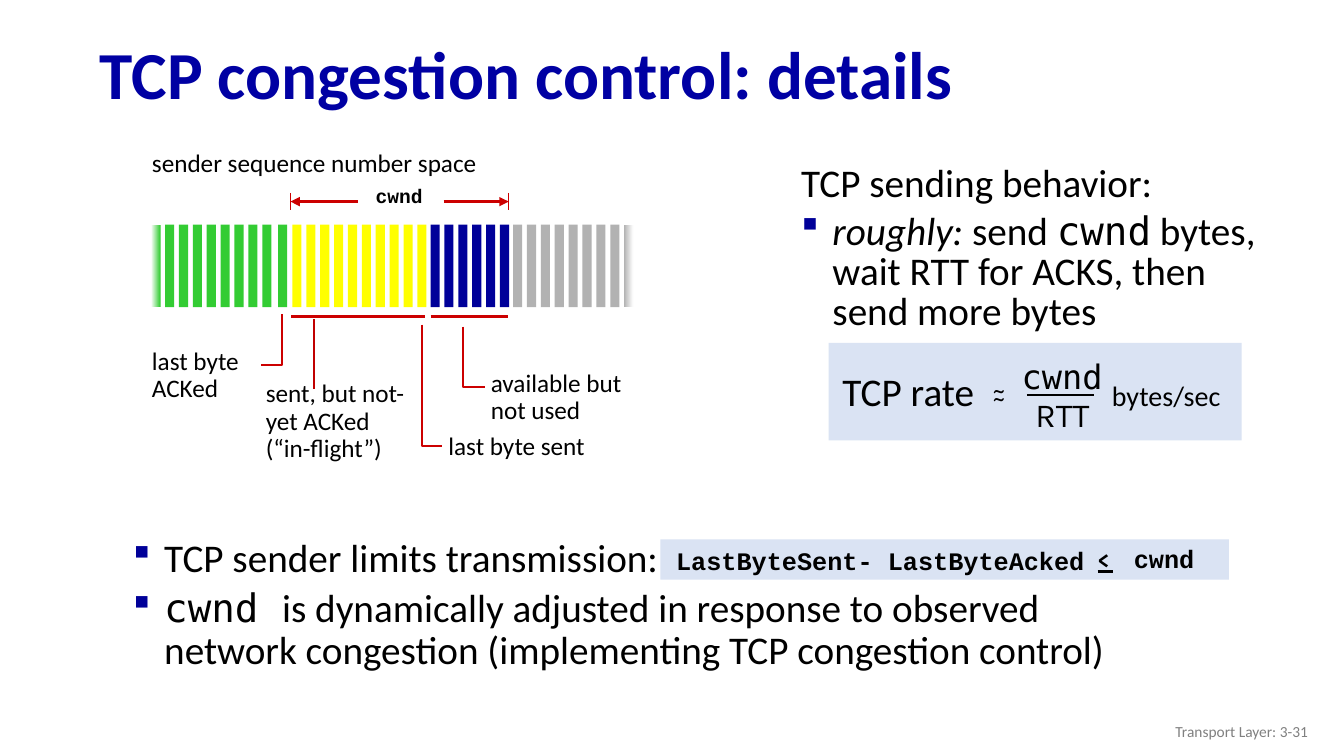
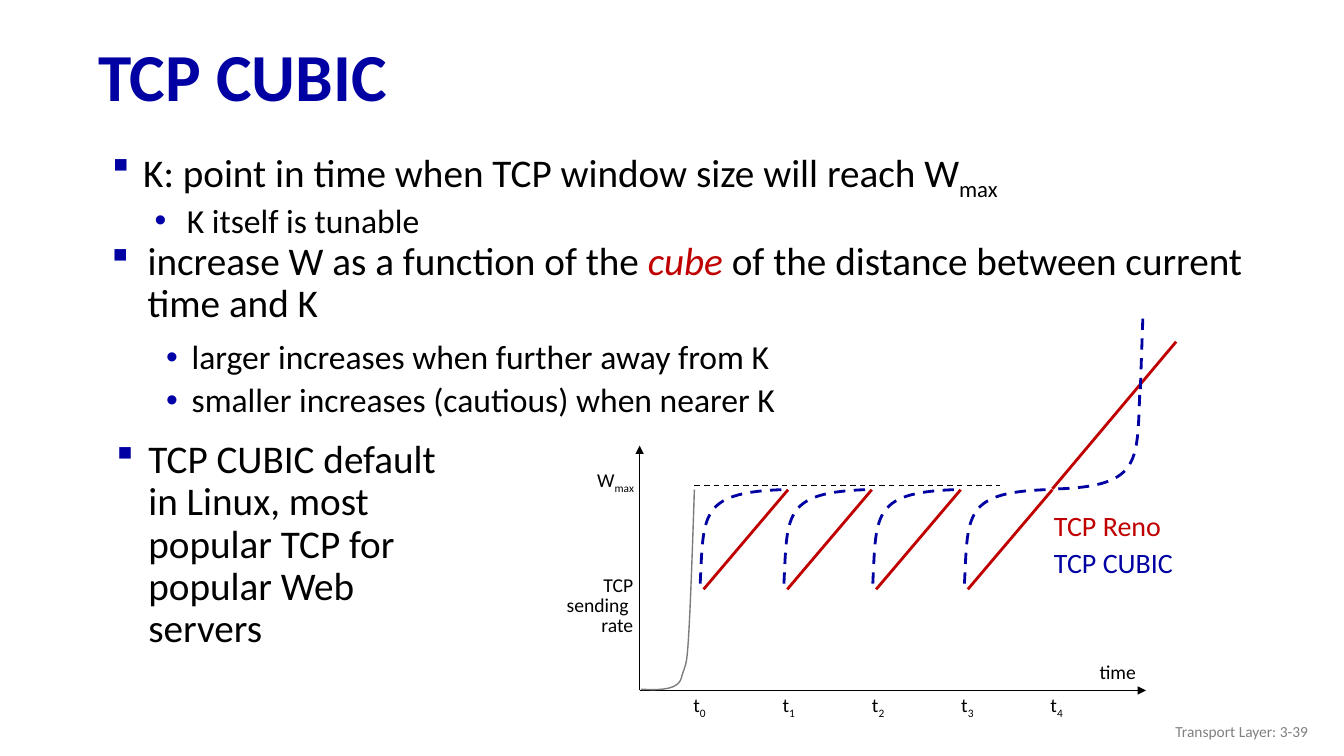
from dataclasses import dataclass
from lxml.etree import SubElement
from pptx import Presentation
from pptx.dml.color import RGBColor
from pptx.enum.dml import MSO_LINE
from pptx.enum.shapes import MSO_CONNECTOR, MSO_SHAPE
from pptx.enum.text import MSO_ANCHOR, MSO_AUTO_SIZE, PP_ALIGN
from pptx.oxml.ns import qn
from pptx.util import Cm, Pt

BLACK, WHITE, GRAY = "000000", "FFFFFF", "808080"
NAVY, BLUE, SUB_BLUE = "000099", "0000A3", "0000A8"
RED, DARK_RED, PALE = "CC0000", "C00000", "DAE3F3"
BODY, CODE, MONO, SYMBOL = "Calibri", "Courier New", "DejaVu Sans Mono", "Karla"
SQUARE, DOT = ("Wingdings", "§"), ("Arial", "•")
LEFT, CENTER, RIGHT = PP_ALIGN.LEFT, PP_ALIGN.CENTER, PP_ALIGN.RIGHT


def rgb(color):
    return RGBColor.from_string(color)


@dataclass
class Item:
    spans: list
    bullet: tuple = ()
    color: str = NAVY
    margin: float = 0.79
    hang: float = 0.79
    size: float = 28
    before: float = 0


class Lecture:
    def __init__(self):
        self.deck = Presentation()
        self.deck.slide_width, self.deck.slide_height = Cm(33.87), Cm(19.05)
        self.page = None

    def start(self, title, left, top, number):
        self.page = self.deck.slides.add_slide(self.deck.slide_layouts[5])
        holder = self.page.shapes.title
        holder.left, holder.top, holder.width, holder.height = (
            Cm(left), Cm(top), Cm(31.65), Cm(2.49))
        frame = holder.text_frame
        frame.text = title
        frame.auto_size = MSO_AUTO_SIZE.NONE
        frame.vertical_anchor = MSO_ANCHOR.MIDDLE
        para = frame.paragraphs[0]
        para.alignment, para.line_spacing = LEFT, 0.9
        self.format(para.runs[0], size=48, color=BLUE, bold=True)
        self.text(25.6, 17.91, 7.62, 1.02, f"Transport Layer: {number}", size=11,
                  color=GRAY, align=RIGHT, spacing=1, anchor=MSO_ANCHOR.MIDDLE)

    def format(self, span, size, color=BLACK, font=BODY, bold=False, italic=False, sub=False):
        span.font.size, span.font.name = Pt(size), font
        span.font.bold, span.font.italic = bold, italic
        span.font.color.rgb = rgb(color)
        if sub:
            span._r.get_or_add_rPr().set("baseline", "-25000")

    def bullet(self, para, item):
        font, mark = item.bullet
        properties = para._p.get_or_add_pPr()
        properties.set("marL", str(Cm(item.margin)))
        properties.set("indent", str(-Cm(item.hang)))
        tint = SubElement(properties, qn("a:buClr"))
        SubElement(tint, qn("a:srgbClr")).set("val", item.color)
        SubElement(properties, qn("a:buFont")).set("typeface", font)
        SubElement(properties, qn("a:buChar")).set("char", mark)

    def frame(self, left, top, width, height, wrap, anchor=MSO_ANCHOR.TOP):
        box = self.page.shapes.add_textbox(Cm(left), Cm(top), Cm(width), Cm(height))
        box.text_frame.word_wrap = wrap
        box.text_frame.vertical_anchor = anchor
        return box.text_frame

    def text(self, left, top, width, height, text, size=18, align=LEFT, spacing=0.9,
             wrap=True, anchor=MSO_ANCHOR.TOP, **style):
        frame = self.frame(left, top, width, height, wrap, anchor)
        frame.text = text
        for para in frame.paragraphs:
            para.alignment, para.line_spacing = align, spacing
            for span in para.runs:
                self.format(span, size, **style)
        return frame

    def subscript(self, left, top, width, base, index, align):
        frame = self.text(left, top, width, 0.79, base, size=14, align=align,
                          spacing=0.85, wrap=False)
        span = frame.paragraphs[0].add_run()
        span.text = index
        self.format(span, 14, sub=True)

    def items(self, left, top, width, height, items, spacing=0.9):
        frame = self.frame(left, top, width, height, True)
        for index, item in enumerate(items):
            para = frame.add_paragraph() if index else frame.paragraphs[0]
            para.line_spacing, para.space_before = spacing, Pt(item.before)
            if item.bullet:
                self.bullet(para, item)
            for words, style in item.spans:
                span = para.add_run()
                span.text = words
                self.format(span, item.size, **style)

    def block(self, left, top, width, height, color, fade=None):
        shape = self.page.shapes.add_shape(
            MSO_SHAPE.RECTANGLE, Cm(left), Cm(top), Cm(width), Cm(height))
        shape.shadow.inherit = False
        shape.line.fill.background()
        if fade:
            shape.fill.gradient()
            shape.fill.gradient_angle = 0
            for stop, tone in zip(shape.fill.gradient_stops, fade):
                stop.color.rgb = rgb(tone)
        else:
            shape.fill.solid()
            shape.fill.fore_color.rgb = rgb(color)

    def stroke(self, shape, color, weight, dashed):
        shape.line.color.rgb, shape.line.width = rgb(color), Pt(weight)
        if dashed:
            shape.line.dash_style = MSO_LINE.DASH

    def line(self, start, end, color=BLACK, weight=1.5, arrow=False, dashed=False):
        link = self.page.shapes.add_connector(
            MSO_CONNECTOR.STRAIGHT, *(Cm(value) for value in start + end))
        self.stroke(link, color, weight, dashed)
        SubElement(link._element.spPr, qn("a:effectLst"))
        if arrow:
            SubElement(link.line._get_or_add_ln(), qn("a:tailEnd")).set("type", "triangle")

    def trace(self, points, color=RED, weight=1.5, dashed=False):
        places = [(Cm(x), Cm(y)) for x, y in points]
        builder = self.page.shapes.build_freeform(*places[0])
        builder.add_line_segments(places[1:], close=False)
        shape = builder.convert_to_shape()
        shape.shadow.inherit = False
        shape.fill.background()
        self.stroke(shape, color, weight, dashed)
        return shape

    def curve(self, points, color, weight=2, dashed=True):
        shape = self.trace(points, color, weight, dashed)
        segments = list(shape._element.iter(qn("a:lnTo")))
        outline = segments[0].getparent()
        for index in range(0, len(segments), 3):
            bend = SubElement(outline, qn("a:cubicBezTo"))
            for segment in segments[index:index + 3]:
                bend.append(segment[0])
                outline.remove(segment)


def sequence_space(lecture):
    green, silver, pitch = "33CC33", "B2B2B2", 0.35
    segments = [(3.81, 9, green), (7.01, 1, green), (7.37, 10, "FFFF00"),
                (10.85, 6, NAVY), (12.93, 9, silver)]
    fades = {(3.81, 0): (WHITE, green), (12.93, 8): (silver, WHITE)}
    lecture.block(3.66, 8.13, 12.5, 0.3, WHITE)
    for left, count, color in segments:
        for index in range(count):
            lecture.block(left + index * pitch, 5.66, 0.23, 2.08, color,
                          fades.get((left, index)))
    lecture.block(3.96, 5.28, 12.5, 0.3, WHITE)
    lecture.text(3.58, 3.58, 8.94, 1.02, "sender sequence number space", spacing=1, wrap=False)
    lecture.text(8.94, 4.57, 2.24, 0.97, "cwnd", size=14, align=CENTER, wrap=False,
                 font=CODE, bold=True)
    for inner, edge in ((11.18, 12.82), (9.02, 7.32)):
        lecture.line((inner, 5.08), (edge, 5.08), RED, 2.25, arrow=True)
        lecture.line((edge, 4.86), (edge, 5.28), RED, 0.75)
    for left, right in ((7.34, 10.7), (10.85, 12.8)):
        lecture.line((left, 7.98), (right, 7.98), RED, 2.25)
    lecture.line((7.92, 8.05), (7.92, 9.8), DARK_RED)
    for x, top, bottom, end in ((7.1, 7.92, 9.2, 6.58), (10.63, 8.18, 11.25, 11.15),
                                (11.68, 8.23, 9.75, 12.22)):
        lecture.trace([(x, top), (x, bottom), (end, bottom)])
    lecture.text(3.58, 8.66, 2.74, 1.65, "last byte\nACKed", wrap=False)
    lecture.text(6.45, 9.48, 4.62, 2.34, "sent, but not-yet ACKed\n(“in-flight”)")
    lecture.text(12.12, 9.22, 4.45, 1.65, "available but not used")
    lecture.text(11.05, 10.8, 4.45, 0.94, "last byte sent")


def rate_formula(lecture):
    lecture.block(20.88, 8.64, 10.41, 2.46, PALE)
    label = {"align": CENTER, "spacing": 1, "wrap": False}
    lecture.text(20.96, 9.14, 3.86, 1.45, "TCP rate", size=28, **label)
    for top in (9.3, 9.5):
        lecture.text(23.88, top, 2.59, 1.02, "~", align=CENTER, spacing=1, font=SYMBOL)
    lecture.text(25.48, 8.84, 2.57, 1.3, "cwnd", size=24, font=MONO, **label)
    lecture.text(25.76, 9.8, 2.03, 1.3, "RTT", size=24, font=SYMBOL, **label)
    lecture.line((25.88, 9.96), (27.58, 9.96))
    lecture.text(27.74, 9.42, 3.3, 1.12, "bytes/sec", size=20, **label)


def congestion_slide(lecture):
    lecture.start("TCP congestion control: details", 2.26, 0.71, "3-31")
    lecture.block(16.64, 13.59, 14.33, 1.02, PALE)
    lecture.items(3.1, 13.44, 26.75, 4.7, [
        Item([("TCP sender limits transmission:", {})], SQUARE),
        Item([("cwnd ", {"font": MONO}),
              ("is dynamically adjusted in response to observed network congestion "
               "(implementing TCP congestion control)", {})], SQUARE, before=5.6)])
    lecture.text(16.79, 13.74, 12.22, 0.94, "LastByteSent- LastByteAcked", spacing=0.85,
                 font=CODE, bold=True)
    lecture.text(27.33, 13.64, 0.97, 0.94, "<", size=16, align=CENTER, spacing=1, wrap=False,
                 font=SYMBOL, bold=True)
    lecture.line((27.66, 14.4), (28.04, 14.4))
    lecture.text(28.32, 13.56, 2.03, 1.02, "cwnd", align=CENTER, spacing=1, wrap=False,
                 font=CODE, bold=True)
    sequence_space(lecture)
    lecture.items(19.94, 4.04, 12.75, 6.81, [
        Item([("TCP sending behavior:", {})]),
        Item([("roughly:", {"italic": True}), (" send ", {}), ("cwnd", {"font": MONO}),
              (" bytes, wait RTT for ACKS, then send more bytes", {})], SQUARE, before=5.6)],
        spacing=0.85)
    rate_formula(lecture)


def rate_graph(lecture):
    origin, ceiling = (16.12, 17.4), 12.34
    lecture.line(origin, (28.88, 17.4), weight=1, arrow=True)
    lecture.line(origin, (16.12, 11.23), weight=1, arrow=True)
    lecture.curve([(17.5, ceiling), (17.45, 13.87), (17.4, 15.32), (17.35, 16.1),
                   (17.3, 16.89), (17.27, 16.71), (17.17, 17.09),
                   (17.07, 17.45), (16.38, 17.37), (16.15, 17.37)], "7C7C7C", 1, False)
    lecture.line((17.5, 12.24), (25.2, 12.24), weight=1, dashed=True)
    for peak in (19.86, 21.97, 24.21, 26.52):
        lecture.line((peak, ceiling), (peak - 2.13, 14.85), DARK_RED, 2)
        lecture.curve([(peak - 0.17, ceiling), (peak - 2.28, 12.42),
                       (peak - 2.12, 13), (peak - 2.22, 14.83)], BLUE)
    lecture.line((26.52, 12.32), (29.64, 8.61), DARK_RED, 2)
    lecture.curve([(26.67, 12.32), (28.8, 12.24), (28.65, 11.61), (28.73, 9.75)], BLUE)
    lecture.line((28.8, 8.03), (28.73, 10.03), BLUE, 2, dashed=True)
    lecture.text(13.97, 14.4, 2.24, 2.46, "TCP\nsending \nrate", size=14, align=RIGHT,
                 spacing=0.85, wrap=False)
    lecture.text(27.46, 16.51, 1.45, 0.86, "time", size=14, spacing=1, wrap=False)
    lecture.items(26.31, 12.82, 4.2, 2.62, [
        Item([("TCP Reno", {"color": DARK_RED})], size=20),
        Item([("TCP CUBIC", {"color": BLUE})], size=20, before=6)], spacing=0.85)
    lecture.subscript(14.58, 11.71, 1.65, "W", "max", RIGHT)
    for index in range(5):
        lecture.subscript(17.2 + 2.25 * index, 17.37, 0.86, "t", str(index), CENTER)


def cubic_slide(lecture):
    lecture.start("TCP CUBIC", 2.22, 0.76, "3-39")
    lecture.items(2.22, 3.63, 31.01, 2.64, [
        Item([("K: point in time when TCP window size will reach W", {}),
              ("max", {"sub": True})], SQUARE, BLUE, 1.14),
        Item([("K itself is tunable", {})], DOT, SUB_BLUE, 2.24, 0.81, 24, 5)])
    lecture.items(2.2, 5.96, 31.01, 5.61, [
        Item([("increase W as a function of the ", {}),
              ("cube", {"color": DARK_RED, "italic": True}),
              (" of the distance between current time and K", {})], SQUARE, BLUE, 1.27, 0.91)])
    lecture.items(2.65, 8.46, 28.58, 2.77, [
        Item([(f"{change} K", {})], DOT, SUB_BLUE, 1.93, 0.64, 24, before)
        for change, before in (("larger increases when further away from", 0),
                               ("smaller increases (cautious) when nearer", 5))])
    rate_graph(lecture)
    lecture.items(2.22, 10.95, 9.6, 5.61, [
        Item([("TCP CUBIC default in Linux, most popular TCP for popular Web servers", {})],
             SQUARE, BLUE, 1.27, 0.81)])


def main():
    lecture = Lecture()
    congestion_slide(lecture)
    cubic_slide(lecture)
    lecture.deck.save("out.pptx")


if __name__ == "__main__":
    main()
